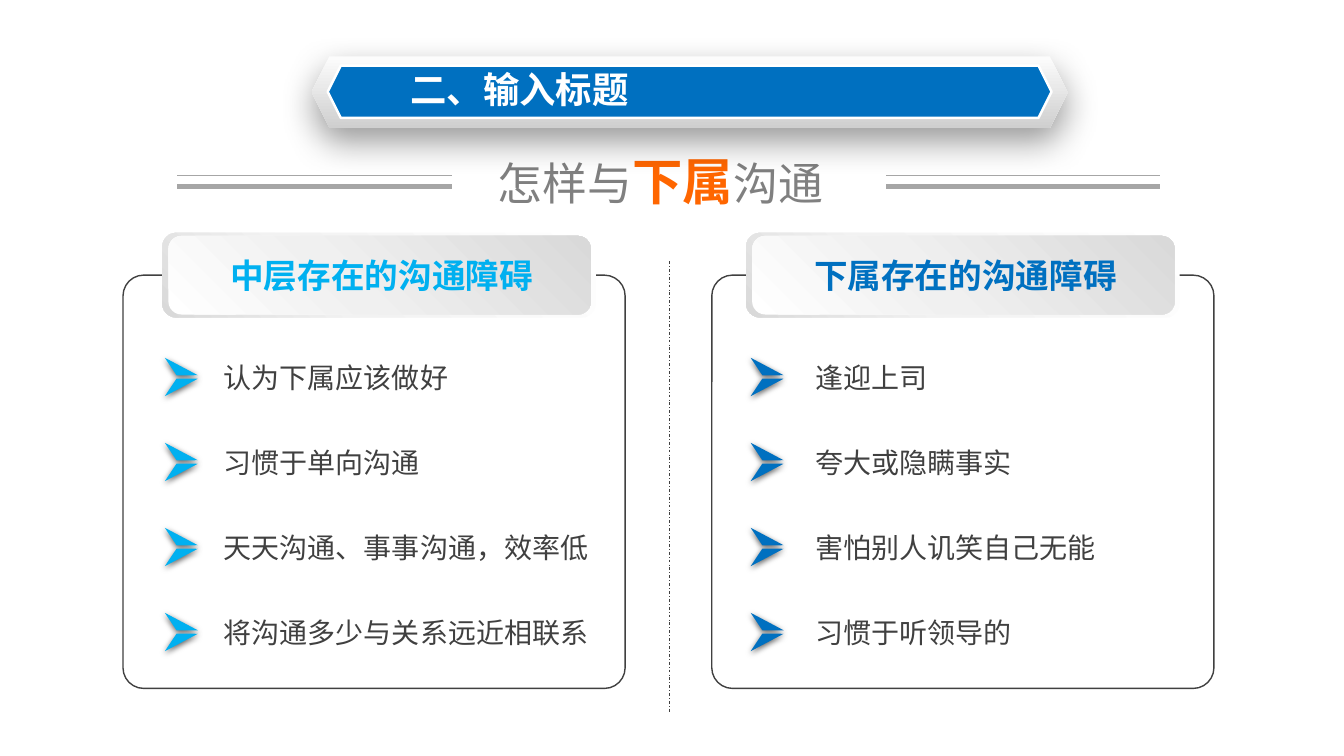
from lxml import etree
from pptx import Presentation
from pptx import util as u
from pptx.dml.color import RGBColor
from pptx.enum import dml, shapes, text
from pptx.oxml import ns

FONT = "Noto Sans CJK SC"
BANNER = "二、输入标题"
HEADLINE = [("怎样与", 32, "808080", False), ("下属", 36, "FF6600", True), ("沟通", 32, "808080", False)]
COLUMNS = [
    dict(title="中层存在的沟通障碍", color="00B0F0", panel=1.22, plate=1.61, arrow=1.59, label=2.12,
         items=[("认为下属应该做好", 2.45), ("习惯于单向沟通", 2.17),
                ("天天沟通、事事沟通，效率低", 3.85), ("将沟通多少与关系远近相联系", 3.85)]),
    dict(title="下属存在的沟通障碍", color="0070C0", panel=7.06, plate=7.4, arrow=7.4, label=7.99,
         items=[("逢迎上司", 1.32), ("夸大或隐瞒事实", 2.17),
                ("害怕别人讥笑自己无能", 3.01), ("习惯于听领导的", 2.17)]),
]
RULE_LEFTS = [1.76, 8.79]
RULE_LENGTH = 2.72
RULES = [(1.85, 4), (1.74, 1)]
PLATE_OUTER = [(0, "FFFFFF"), (62, "F2F2F2"), (100, "D9D9D9")]
PLATE_INNER = [(0, "FFFFFF"), (42, "F0F0F0"), (100, "D9D9D9")]
BANNER_EDGE = [(0, "FCFCFC"), (100, "CFCFCF")]
FIRST_ROW = 3.53
ROW_PITCH = 2.53 / 3
ARROW_HALVES = [(0.1, 207.9), (0.22, 332.1)]

deck = Presentation()
deck.slide_width, deck.slide_height = u.Inches(13.33), u.Inches(7.5)
page = deck.slides.add_slide(deck.slide_layouts[6])


def rgb(value):
    return RGBColor.from_string(value)


def add(parent, tag, **attributes):
    return etree.SubElement(parent, ns.qn(tag), attributes)


def add_form(kind, left, top, width, height, fill=None, line=None, weight=1):
    form = page.shapes.add_shape(kind, *map(u.Inches, (left, top, width, height)))
    form.shadow.inherit = False
    if fill:
        form.fill.solid()
        form.fill.fore_color.rgb = rgb(fill)
    else:
        form.fill.background()
    if line:
        form.line.color.rgb = rgb(line)
        form.line.width = u.Pt(weight)
    else:
        form.line.fill.background()
    return form


def add_gradient(form, stops, angle):
    properties = form.element.spPr
    gradient = etree.Element(ns.qn("a:gradFill"), rotWithShape="1")
    stop_list = add(gradient, "a:gsLst")
    for position, color in stops:
        stop = add(stop_list, "a:gs", pos=str(position * 1000))
        add(stop, "a:srgbClr", val=color)
    add(gradient, "a:lin", ang=str(angle * 60000), scaled="0")
    properties.replace(properties.find(ns.qn("a:noFill")), gradient)


def add_shadow(form, opacity, blur, distance):
    effects = form.element.spPr.find(ns.qn("a:effectLst"))
    shadow = add(effects, "a:outerShdw", blurRad=str(u.Pt(blur)), dist=str(u.Pt(distance)),
                 dir="5400000", algn="t", rotWithShape="0")
    color = add(shadow, "a:srgbClr", val="000000")
    add(color, "a:alpha", val=str(opacity * 1000))


def add_line(left, top, right, bottom, color, weight):
    line = page.shapes.add_connector(shapes.MSO_CONNECTOR.STRAIGHT, *map(u.Inches, (left, top, right, bottom)))
    line.line.color.rgb = rgb(color)
    line.line.width = u.Pt(weight)
    add(line.element.spPr, "a:effectLst")
    return line


def add_text(left, top, width, height, spans, wrap=False):
    box = page.shapes.add_textbox(*map(u.Inches, (left, top, width, height)))
    frame = box.text_frame
    frame.word_wrap = wrap
    frame.auto_size = text.MSO_AUTO_SIZE.SHAPE_TO_FIT_TEXT
    para = frame.paragraphs[0]
    for words, size, color, bold in spans:
        span = para.add_run()
        span.text = words
        span.font.size = u.Pt(size)
        span.font.bold = bold
        span.font.color.rgb = rgb(color)
        span.font.name = FONT
        add(span.font._element, "a:ea", typeface=FONT)
    return frame


def add_column(column):
    color, plate = column["color"], column["plate"]
    panel = add_form(shapes.MSO_SHAPE.ROUNDED_RECTANGLE, column["panel"], 2.73, 4.98, 4.1, line="404040")
    panel.adjustments[0] = 0.05
    outer = add_form(shapes.MSO_SHAPE.ROUNDED_RECTANGLE, plate, 2.31, 4.3, 0.84)
    add_gradient(outer, PLATE_OUTER, 135)
    inner = add_form(shapes.MSO_SHAPE.ROUNDED_RECTANGLE, plate + 0.06, 2.34, 4.19, 0.78)
    add_gradient(inner, PLATE_INNER, 315)
    title = add_text(plate + 0.59, 2.53, 3.17, 0.4, [(column["title"], 24, color, True)], wrap=True)
    title.margin_left = title.margin_right = title.margin_top = title.margin_bottom = 0
    title.paragraphs[0].alignment = text.PP_ALIGN.CENTER
    for row, (words, width) in enumerate(column["items"]):
        top = FIRST_ROW + row * ROW_PITCH
        for offset, rotation in ARROW_HALVES:
            half = add_form(shapes.MSO_SHAPE.ISOSCELES_TRIANGLE, column["arrow"], top + offset, 0.37, 0.1, color)
            half.rotation = rotation
            add_shadow(half, 63, 4.5, 1.5)
        add_text(column["label"], top, width, 0.44, [(words, 20, "404040", False)])


for left in RULE_LEFTS:
    for top, weight in RULES:
        add_line(left, top, left + RULE_LENGTH, top, "A6A6A6", weight)

headline = add_text(4.84, 1.51, 3.46, 0.65, HEADLINE)
headline.paragraphs[0].line_spacing = 0.9

divider = add_line(6.64, 2.59, 6.64, 7.08, "404040", 0.5)
divider.line.dash_style = dml.MSO_LINE.DASH_DOT

for column in COLUMNS:
    add_column(column)

banner_edge = add_form(shapes.MSO_SHAPE.HEXAGON, 3.09, 0.56, 7.5, 0.71)
add_gradient(banner_edge, BANNER_EDGE, 90)
add_shadow(banner_edge, 40, 25, 9)
add_form(shapes.MSO_SHAPE.HEXAGON, 3.25, 0.65, 7.18, 0.52, "0070C0", "FFFFFF", 1.75)
add_text(3.97, 0.62, 2.39, 0.54, [(BANNER, 26, "FFFFFF", True)])

deck.save("out.pptx")
